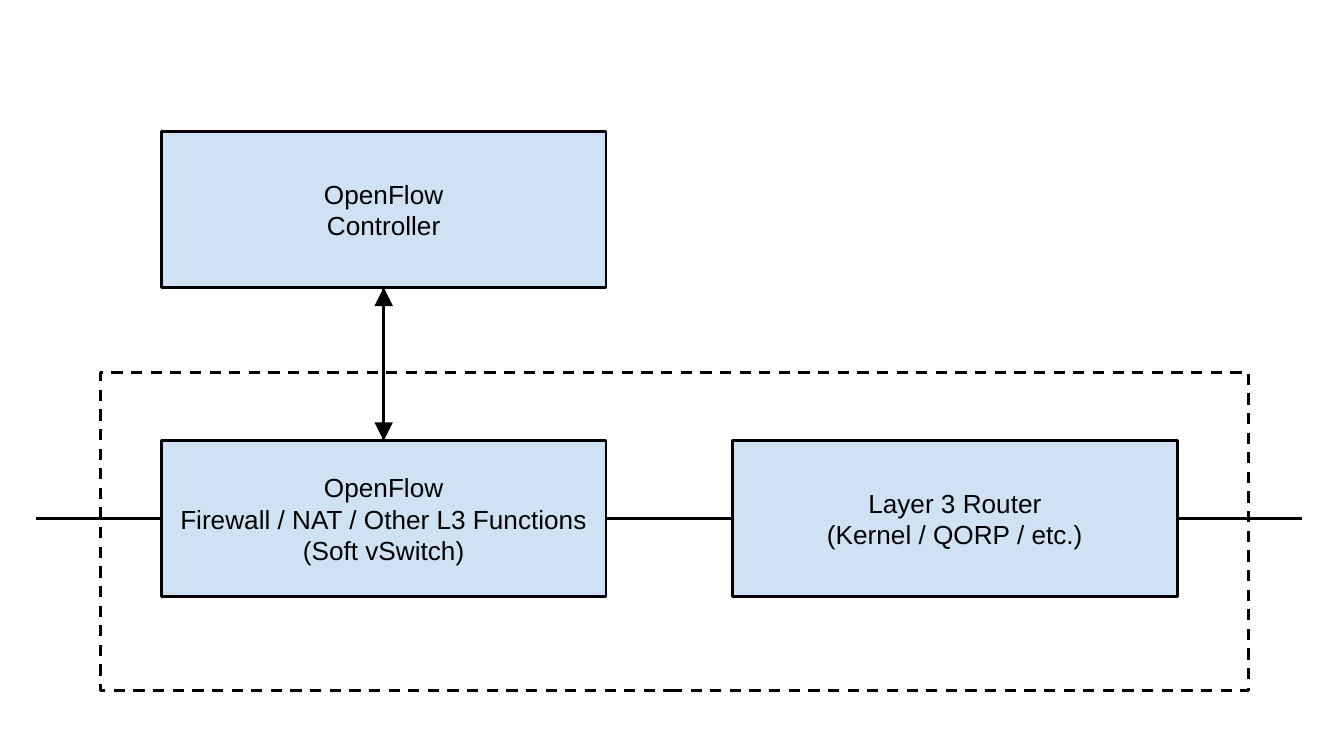
import pptx
import pptx.util
import pptx.dml.color
import pptx.enum.dml
import pptx.enum.shapes
import pptx.enum.text
import pptx.oxml.ns
import lxml.etree

Inches = pptx.util.Inches

COLORS = {"paper": "FFFFFF", "box": "CFE2F3", "ink": "000000"}
FONT, FONT_SIZE, LINE_WIDTH = "Arial", 14, 1.5

PAGE_WIDTH = 10
PAGE_HEIGHT = PAGE_WIDTH * 9 / 16
BOX_WIDTH, BOX_HEIGHT, INSET = 3.31, 1.16, 0.1
LEFT_COLUMN, RIGHT_COLUMN = 1.2, 5.45
UPPER_ROW, LOWER_ROW = 0.98, 3.28
LINK_LENGTH = 0.93
ROUTER_FRAME = (0.75, 2.77, 8.54, 2.37)

BOXES = [
    (LEFT_COLUMN, UPPER_ROW, ["OpenFlow", "Controller"]),
    (LEFT_COLUMN, LOWER_ROW,
     ["OpenFlow", "Firewall / NAT / Other L3 Functions", "(Soft vSwitch)"]),
    (RIGHT_COLUMN, LOWER_ROW, ["Layer 3 Router", "(Kernel / QORP / etc.)"]),
]


def color(name):
    return pptx.dml.color.RGBColor.from_string(COLORS[name])


def style_line(line):
    line.color.rgb = color("ink")
    line.width = pptx.util.Pt(LINE_WIDTH)


def add_rectangle(page, left, top, width, height, fill):
    box = page.shapes.add_shape(
        pptx.enum.shapes.MSO_SHAPE.RECTANGLE,
        Inches(left), Inches(top), Inches(width), Inches(height))
    box.shadow.inherit = False
    box.fill.solid()
    box.fill.fore_color.rgb = color(fill)
    style_line(box.line)
    return box


def add_label(box, lines):
    frame = box.text_frame
    frame.word_wrap = True
    frame.vertical_anchor = pptx.enum.text.MSO_ANCHOR.MIDDLE
    frame.margin_left = frame.margin_right = Inches(INSET)
    frame.margin_top = frame.margin_bottom = Inches(INSET)
    for index, text in enumerate(lines):
        para = frame.add_paragraph() if index else frame.paragraphs[0]
        para.alignment = pptx.enum.text.PP_ALIGN.CENTER
        span = para.add_run()
        span.text = text
        span.font.name = FONT
        span.font.size = pptx.util.Pt(FONT_SIZE)
        span.font.color.rgb = color("ink")


def add_link(page, start, end, arrow=False):
    link = page.shapes.add_connector(
        pptx.enum.shapes.MSO_CONNECTOR.STRAIGHT,
        *(Inches(value) for value in (*start, *end)))
    style_line(link.line)
    properties = link._element.spPr
    qn = pptx.oxml.ns.qn
    if arrow:
        lxml.etree.SubElement(properties.find(qn("a:ln")), qn("a:tailEnd"),
                              type="triangle", w="lg", len="lg")
    lxml.etree.SubElement(properties, qn("a:effectLst"))


def main():
    deck = pptx.Presentation()
    deck.slide_width, deck.slide_height = Inches(PAGE_WIDTH), Inches(PAGE_HEIGHT)
    page = deck.slides.add_slide(deck.slide_layouts[6])

    frame = add_rectangle(page, *ROUTER_FRAME, "paper")
    frame.line.dash_style = pptx.enum.dml.MSO_LINE.DASH

    for left, top, lines in BOXES:
        add_label(add_rectangle(page, left, top, BOX_WIDTH, BOX_HEIGHT, "box"), lines)

    center = LEFT_COLUMN + BOX_WIDTH / 2
    controller_end = (center, UPPER_ROW + BOX_HEIGHT)
    firewall_end = (center, LOWER_ROW)
    add_link(page, controller_end, firewall_end, arrow=True)
    add_link(page, firewall_end, controller_end, arrow=True)

    middle = LOWER_ROW + BOX_HEIGHT / 2
    for start in (LEFT_COLUMN + BOX_WIDTH,
                  LEFT_COLUMN - LINK_LENGTH,
                  RIGHT_COLUMN + BOX_WIDTH):
        add_link(page, (start, middle), (start + LINK_LENGTH, middle))

    deck.save("out.pptx")


if __name__ == "__main__":
    main()
